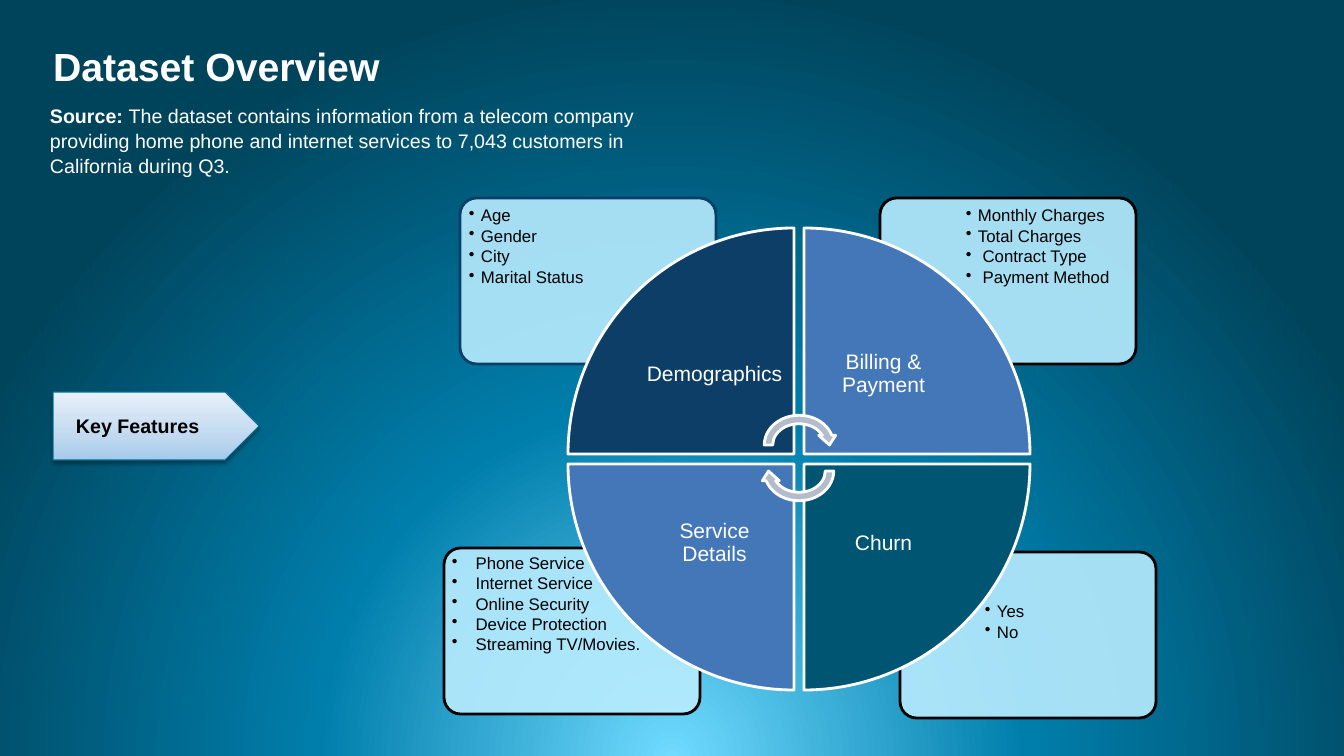
from dataclasses import dataclass

from lxml.etree import SubElement
from pptx import Presentation
from pptx.dml.color import RGBColor as Rgb
from pptx.enum.shapes import MSO_SHAPE as Preset
from pptx.enum.text import MSO_ANCHOR as Anchor, PP_ALIGN as Align
from pptx.oxml.ns import qn
from pptx.util import Pt

TITLE = "Dataset Overview"
SOURCE = [
    ("Source: ", True),
    ("The dataset contains information from a telecom company providing home phone "
     "and internet services to 7,043 customers in California during Q3.", False),
]
KEY_FEATURES = "Key Features"
TIGHT = dict(line_spacing=0.9, space_after=Pt(1.8))
PLAIN = dict(line_spacing=1.0)
QUADRANTS = [
    dict(label="Demographics", cell=(0, 0), fill="navy", border="navy", card=(460, 198),
         list_box=(464, 202, 172, 118), side=5, indent=12, spacing=TIGHT,
         features=["Age", "Gender", "City", "Marital Status"]),
    dict(label="Billing & Payment", cell=(1, 0), fill="blue", border="black", card=(880, 198),
         list_box=(961, 202, 172, 118), side=5, indent=12, spacing=TIGHT,
         features=["Monthly Charges", "Total Charges", " Contract Type", " Payment Method"]),
    dict(label="Churn", cell=(1, 1), fill="teal", border="black", card=(900, 552),
         list_box=(980, 598, 171, 118), side=5, indent=12, spacing=TIGHT,
         features=["Yes", "No"]),
    dict(label="Service Details", cell=(0, 1), fill="blue", border="black", card=(444, 548),
         list_box=(442, 548, 259, 112), side=10, indent=19, spacing=PLAIN,
         features=[" Phone Service", " Internet Service", " Online Security",
                   " Device Protection", " Streaming TV/Movies."]),
]
CYCLE_ARROWS = [(411, 0), (437, 180)]


@dataclass(frozen=True)
class Theme:
    font: str = "Arial"
    white: str = "FFFFFF"
    black: str = "000000"
    navy: str = "0C3E68"
    blue: str = "4477B8"
    teal: str = "005573"
    card: str = "B8ECFF"
    cycle: str = "B4BBCB"
    tag_line: str = "006F96"
    backdrop: tuple = ((0, "70DAFF"), (46, "007EAB"), (100, "00445C"))
    tag: tuple = ((0, "A5CAEB"), (35, "C1D9F0"), (100, "E7F0FA"))
    title_size: int = 28
    body_size: int = 14
    label_size: int = 15
    list_size: int = 12


THEME = Theme()
PX = 914400 / 100.8
WEDGE, GAP, LABEL = 226, 10, 159
WHEEL_LEFT, WHEEL_TOP = 568, 228
CARD_SIZE = (256, 166)


def emu(px):
    return round(px * PX)


def apply(target, values):
    for name, value in values.items():
        setattr(target, name, value)


def set_gradient(gradient, stops, direction, **settings):
    gradient.clear()
    stop_list = SubElement(gradient, qn("a:gsLst"))
    for position, color in stops:
        stop = SubElement(stop_list, qn("a:gs"), pos=str(position * 1000))
        SubElement(stop, qn("a:srgbClr"), val=color)
    return SubElement(gradient, qn(direction), **settings)


def add_figure(preset, box, fill, border, width=2, rotation=0):
    figure = slide.shapes.add_shape(preset, *map(emu, box))
    figure.shadow.inherit = False
    figure.rotation = rotation
    figure.fill.solid()
    figure.fill.fore_color.rgb = Rgb.from_string(fill)
    figure.line.color.rgb = Rgb.from_string(border)
    figure.line.width = Pt(width)
    return figure


def add_text(box, margins, anchor=Anchor.TOP):
    frame = slide.shapes.add_textbox(*map(emu, box)).text_frame
    sides = ("margin_left", "margin_top", "margin_right", "margin_bottom")
    apply(frame, dict(zip(sides, map(emu, margins))))
    apply(frame, dict(word_wrap=True, vertical_anchor=anchor))
    return frame


def write(paragraph, text, size, color, bold=False):
    run = paragraph.add_run()
    run.text = text
    apply(run.font, dict(name=THEME.font, size=Pt(size), bold=bold))
    run.font.color.rgb = Rgb.from_string(color)


def indent(paragraph, left, first=0):
    properties = paragraph._p.get_or_add_pPr()
    properties.set("marL", str(emu(left)))
    properties.set("indent", str(emu(first)))
    return properties


def add_card(quadrant):
    card = add_figure(Preset.ROUNDED_RECTANGLE, quadrant["card"] + CARD_SIZE,
                      THEME.card, getattr(THEME, quadrant["border"]))
    card.adjustments[0] = 0.1
    SubElement(card.element.spPr.find(qn("a:solidFill"))[0], qn("a:alpha"), val="90000")


def add_wedge(quadrant, rotation):
    column, row = quadrant["cell"]
    left = WHEEL_LEFT + column * (WEDGE + GAP)
    top = WHEEL_TOP + row * (WEDGE + GAP)
    add_figure(Preset.PIE_WEDGE, (left, top, WEDGE, WEDGE),
               getattr(THEME, quadrant["fill"]), THEME.white, rotation=rotation)
    inset = WEDGE - LABEL
    label_box = (left + inset * (1 - column), top + inset * (1 - row), LABEL, LABEL)
    label = add_text(label_box, (11, 12, 11, 12), Anchor.MIDDLE).paragraphs[0]
    apply(label, dict(alignment=Align.CENTER, line_spacing=0.9))
    write(label, quadrant["label"], THEME.label_size, THEME.white)


def add_features(quadrant):
    side = quadrant["side"]
    frame = add_text(quadrant["list_box"], (side, 5, side, 5))
    for number, feature in enumerate(quadrant["features"]):
        item = frame.add_paragraph() if number else frame.paragraphs[0]
        apply(item, quadrant["spacing"])
        properties = indent(item, quadrant["indent"], -quadrant["indent"])
        bullet_color = SubElement(properties, qn("a:buClr"))
        SubElement(bullet_color, qn("a:srgbClr"), val=THEME.black)
        SubElement(properties, qn("a:buChar"), char="•")
        write(item, feature, THEME.list_size, THEME.black)


deck = Presentation()
apply(deck, dict(slide_width=emu(1344), slide_height=emu(756)))
slide = deck.slides.add_slide(deck.slide_layouts[6])

slide.background.fill.gradient()
backdrop = next(slide.element.iter(qn("a:gradFill")))
circle = set_gradient(backdrop, THEME.backdrop, "a:path", path="circle")
SubElement(circle, qn("a:fillToRect"), l="50000", t="130000", r="50000", b="-30000")

tag = add_figure(Preset.PENTAGON, (53, 392, 206, 68), THEME.white, THEME.tag_line, 0.75)
tag.fill.gradient()
tag_properties = tag.element.spPr
set_gradient(tag_properties.find(qn("a:gradFill")), THEME.tag, "a:lin",
             ang="16200000", scaled="0")
shadow = SubElement(tag_properties.find(qn("a:effectLst")), qn("a:outerShdw"),
                    blurRad=str(Pt(3.1)), dist=str(Pt(1.6)), dir="5400000", rotWithShape="0")
shadow_color = SubElement(shadow, qn("a:srgbClr"), val=THEME.black)
SubElement(shadow_color, qn("a:alpha"), val="38000")

source = add_text((25, 103, 664, 114), (0, 0, 0, 0)).paragraphs[0]
indent(source, 25)
source.line_spacing = 1.05
for words, bold in SOURCE:
    write(source, words, THEME.body_size, THEME.white, bold)

title = add_text((53, -70, 403, 271), (0, 5, 10, 5), Anchor.MIDDLE).paragraphs[0]
write(title, TITLE, THEME.title_size, THEME.white, True)

for quadrant in QUADRANTS:
    add_card(quadrant)
for turn, quadrant in enumerate(QUADRANTS):
    add_wedge(quadrant, turn * 90)
for top, rotation in CYCLE_ARROWS:
    add_figure(Preset.CIRCULAR_ARROW, (760, top, 78, 68), THEME.cycle, THEME.white,
               rotation=rotation)

key_features = add_text((66, 409, 172, 34), (10, 5, 10, 5)).paragraphs[0]
write(key_features, KEY_FEATURES, THEME.body_size, THEME.black, True)
for quadrant in QUADRANTS:
    add_features(quadrant)

deck.save("out.pptx")
